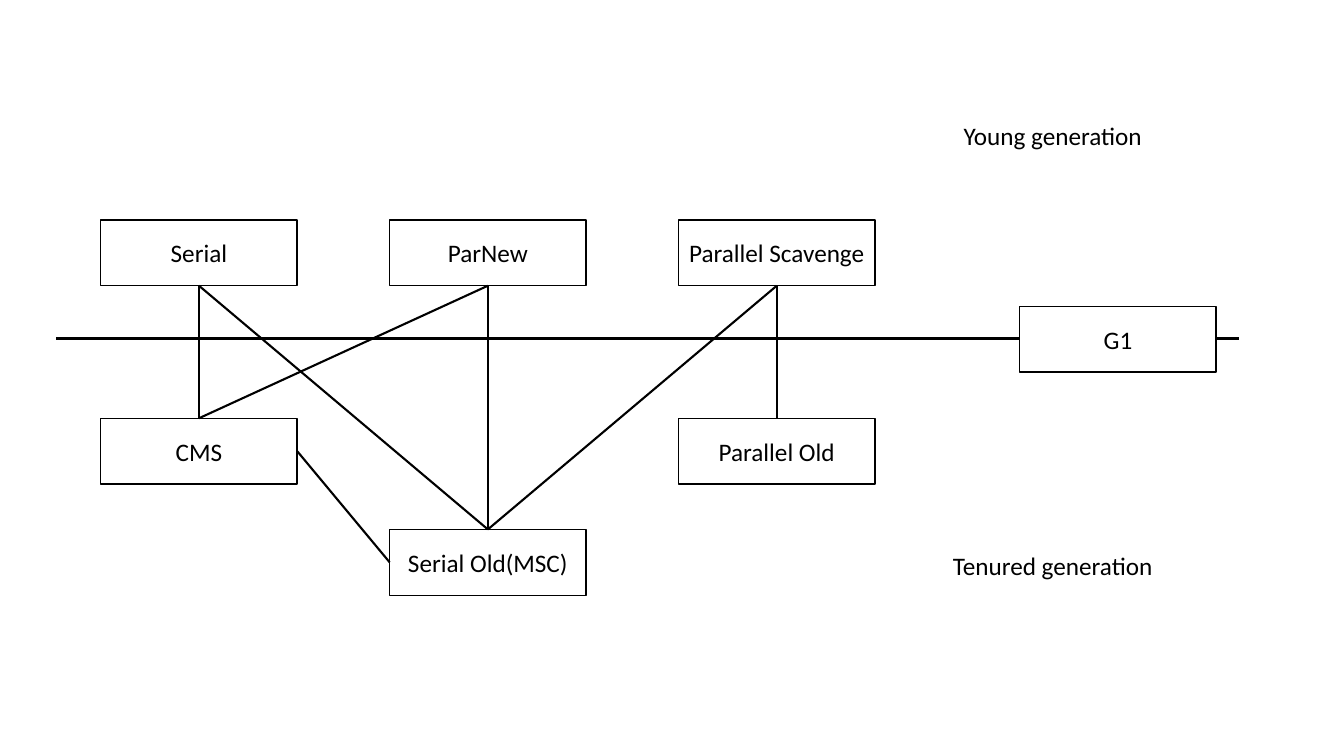
from dataclasses import dataclass

from lxml.etree import SubElement
from pptx import Presentation
from pptx.dml.color import RGBColor as Rgb
from pptx.enum.shapes import MSO_CONNECTOR as Link, MSO_SHAPE as Kind
from pptx.enum.text import MSO_ANCHOR as Anchor, PP_ALIGN as Align
from pptx.oxml.ns import qn
from pptx.shapes.autoshape import Shape
from pptx.shapes.connector import Connector
from pptx.slide import Slide
from pptx.util import Cm, Pt


@dataclass(frozen=True)
class Theme:
    ink: Rgb = Rgb(0, 0, 0)
    paper: Rgb = Rgb(255, 255, 255)
    font: str = "Calibri"
    size: float = 18
    edge: float = 1
    link: float = 1.5
    axis: float = 2.25


@dataclass(frozen=True)
class Box:
    text: str
    left: float
    top: float
    width: float = 4.95
    height: float = 1.66
    framed: bool = True


@dataclass(frozen=True)
class Tie:
    """A line between two boxes, from one connection site to another."""
    start: str
    end: str
    leave: int
    enter: int


THEME = Theme()
TOP, LEFT, BOTTOM, RIGHT = range(4)
COLS = [2.54 + 7.28 * i for i in range(3)]
YOUNG, OLD, LOW = 5.54, 10.54, 13.34
AXIS = 8.54

BOXES = [
    Box("Parallel Scavenge", COLS[2], YOUNG),
    Box("Serial", COLS[0], YOUNG),
    Box("ParNew", COLS[1], YOUNG),
    Box("CMS", COLS[0], OLD),
    Box("Serial Old(MSC)", COLS[1], LOW),
    Box("Parallel Old", COLS[2], OLD),
    Box("G1", 25.7, 7.72),
]
LABELS = [
    Box("Tenured generation", 22.4, 13.31, 8.26, 1.9, False),
    Box("Young generation", 22.4, 2.46, 8.26, 1.9, False),
]
TIES = [
    Tie("Serial", "CMS", BOTTOM, TOP),
    Tie("ParNew", "Serial Old(MSC)", BOTTOM, TOP),
    Tie("ParNew", "CMS", BOTTOM, TOP),
    Tie("Parallel Scavenge", "Serial Old(MSC)", BOTTOM, TOP),
    Tie("Parallel Scavenge", "Parallel Old", BOTTOM, TOP),
    Tie("CMS", "Serial Old(MSC)", RIGHT, LEFT),
    Tie("Serial", "Serial Old(MSC)", BOTTOM, TOP),
]


def apply(target: object, values: dict[str, object]) -> None:
    for name, value in values.items():
        setattr(target, name, value)


def draw_box(slide: Slide, box: Box) -> Shape:
    shape = slide.shapes.add_shape(
        Kind.RECTANGLE, Cm(box.left), Cm(box.top), Cm(box.width), Cm(box.height))
    shape.shadow.inherit = False
    shape.fill.solid()
    shape.fill.fore_color.rgb = THEME.paper
    if box.framed:
        shape.line.color.rgb = THEME.ink
        shape.line.width = Pt(THEME.edge)
    else:
        shape.line.fill.background()
    frame = shape.text_frame
    apply(frame, {"word_wrap": True, "vertical_anchor": Anchor.MIDDLE,
                  "margin_left": 0, "margin_right": 0})
    line = frame.paragraphs[0]
    apply(line, {"text": box.text, "alignment": Align.CENTER})
    font = line.runs[0].font
    apply(font, {"name": THEME.font, "size": Pt(THEME.size)})
    font.color.rgb = THEME.ink
    return shape


def draw_line(slide: Slide, width: float, ends: tuple[float, ...] = (0, 0, 0, 0)) -> Connector:
    line = slide.shapes.add_connector(Link.STRAIGHT, *map(Cm, ends))
    line.line.color.rgb = THEME.ink
    line.line.width = Pt(width)
    SubElement(line._element.spPr, qn("a:effectLst"))
    return line


def draw_tie(slide: Slide, tie: Tie, shapes: dict[str, Shape]) -> None:
    line = draw_line(slide, THEME.link)
    line.begin_connect(shapes[tie.start], tie.leave)
    line.end_connect(shapes[tie.end], tie.enter)


def main() -> None:
    deck = Presentation()
    apply(deck, {"slide_width": Cm(33.87), "slide_height": Cm(19.05)})
    slide = deck.slides.add_slide(deck.slide_layouts[6])
    draw_line(slide, THEME.axis, (1.42, AXIS, 31.22, AXIS))
    shapes = {box.text: draw_box(slide, box) for box in BOXES}
    for tie in TIES:
        draw_tie(slide, tie, shapes)
    for label in LABELS:
        draw_box(slide, label)
    deck.save("out.pptx")


if __name__ == "__main__":
    main()
